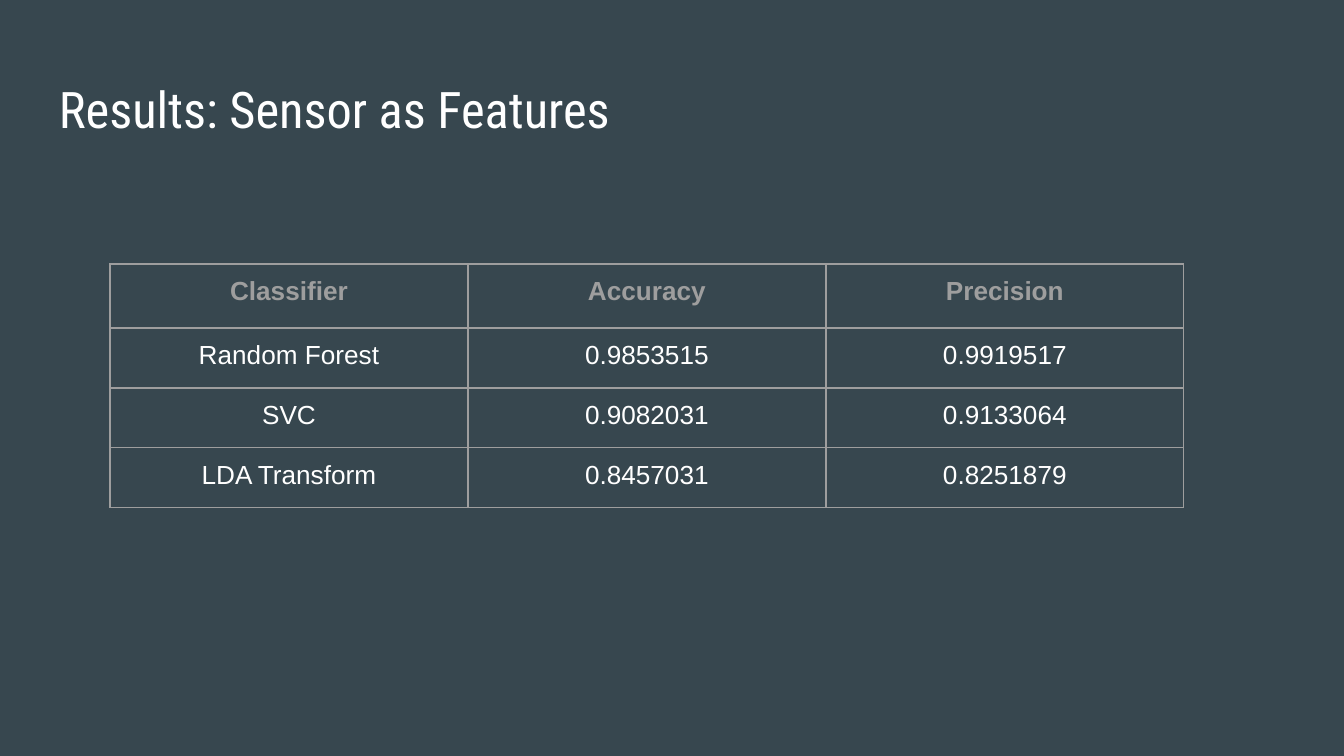
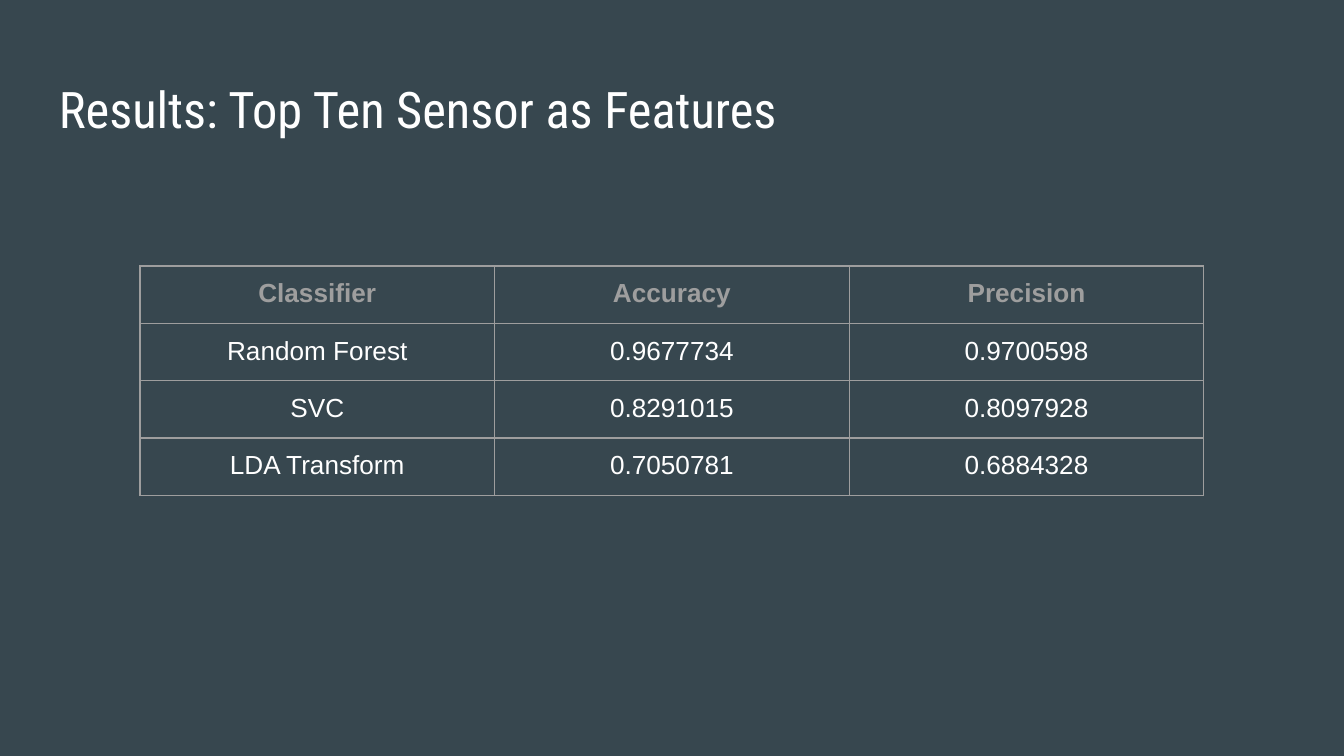
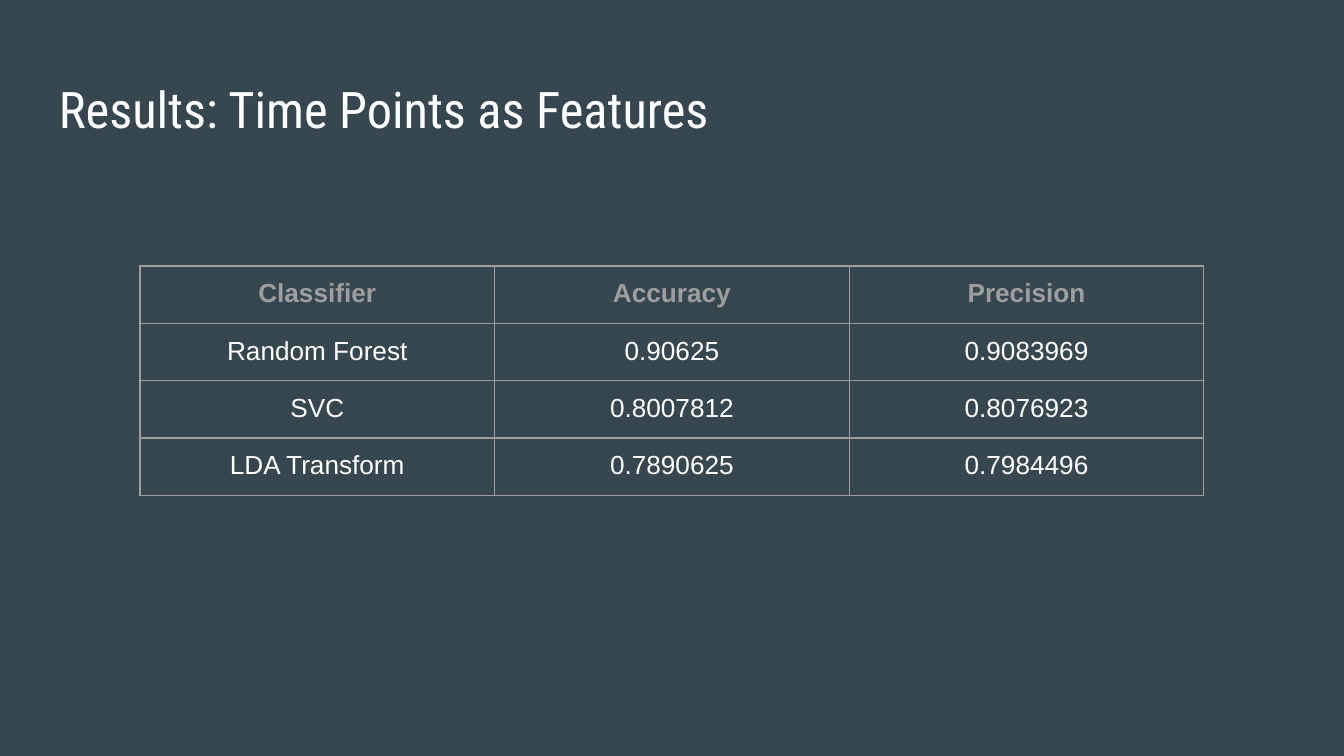
import pptx
import pptx.dml.color
import pptx.enum.text
import pptx.oxml
import pptx.oxml.ns
import pptx.util

EMU_PER_PX = 914400 / 134.4
INSET = 13
COLORS = {"background": "37474F", "text": "FFFFFF", "muted": "9E9E9E"}
HEADINGS = ["Classifier", "Accuracy", "Precision"]
CLASSIFIERS = ["Random Forest", "SVC", "LDA Transform"]
RESULTS = [
    {
        "title": "Results: Sensor as Features",
        "scores": [("0.9853515", "0.9919517"), ("0.9082031", "0.9133064"), ("0.8457031", "0.8251879")],
        "place": {"left": 110, "top": 264, "width": 1074, "heading_height": 64, "row_height": 60},
    },
    {
        "title": "Results: Top Ten Sensor as Features",
        "scores": [("0.9677734", "0.9700598"), ("0.8291015", "0.8097928"), ("0.7050781", "0.6884328")],
    },
    {
        "title": "Results: Time Points as Features",
        "scores": [("0.90625", "0.9083969"), ("0.8007812", "0.8076923"), ("0.7890625", "0.7984496")],
    },
]


def px(length):
    return pptx.util.Emu(round(length * EMU_PER_PX))


def rgb(name):
    return pptx.dml.color.RGBColor.from_string(COLORS[name])


def write_text(frame, text, *, font="Arial", size=14, color="text", bold=False, align="LEFT"):
    paragraph = frame.paragraphs[0]
    paragraph.alignment = getattr(pptx.enum.text.PP_ALIGN, align)
    run = paragraph.add_run()
    run.text = text
    run.font.name = font
    run.font.size = pptx.util.Pt(size)
    run.font.bold = bold
    run.font.color.rgb = rgb(color)


def set_insets(holder):
    for side in ("left", "right", "top", "bottom"):
        setattr(holder, f"margin_{side}", px(INSET))


class Deck:
    def __init__(self):
        self.presentation = pptx.Presentation()
        self.presentation.slide_width = px(1344)
        self.presentation.slide_height = px(756)
        self.slide = None

    def add_slide(self):
        self.slide = self.presentation.slides.add_slide(self.presentation.slide_layouts[6])
        background = self.slide.background.fill
        background.solid()
        background.fore_color.rgb = rgb("background")

    def add_title(self, text):
        frame = self.slide.shapes.add_textbox(px(46), px(66), px(1252), px(85)).text_frame
        frame.word_wrap = True
        frame.vertical_anchor = pptx.enum.text.MSO_ANCHOR.MIDDLE
        set_insets(frame)
        write_text(frame, text, font="Roboto Condensed", size=27)

    def add_borders(self, cell):
        properties = cell._tc.get_or_add_tcPr()
        for side in "LRTB":
            properties.append(pptx.oxml.parse_xml(
                f'<a:ln{side} {pptx.oxml.ns.nsdecls("a")} w="{pptx.util.Pt(0.75)}">'
                f'<a:solidFill><a:srgbClr val="{COLORS["muted"]}"/></a:solidFill>'
                f'</a:ln{side}>'
            ))

    def add_table(self, rows, left=140, top=266, width=1064, heading_height=56, row_height=56):
        heights = [heading_height] + [row_height] * (len(rows) - 1)
        table = self.slide.shapes.add_table(
            len(rows), len(rows[0]), px(left), px(top), px(width), px(sum(heights))
        ).table
        table.first_row = False
        table.horz_banding = False
        for column in table.columns:
            column.width = px(width / len(rows[0]))
        for index, (row, height, texts) in enumerate(zip(table.rows, heights, rows)):
            row.height = px(height)
            heading = index == 0
            for cell, text in zip(row.cells, texts):
                set_insets(cell)
                self.add_borders(cell)
                cell.fill.background()
                write_text(cell.text_frame, text, align="CENTER", bold=heading,
                           color="muted" if heading else "text")


def main():
    deck = Deck()
    for result in RESULTS:
        deck.add_slide()
        deck.add_title(result["title"])
        scores = [[name, *values] for name, values in zip(CLASSIFIERS, result["scores"])]
        deck.add_table([HEADINGS, *scores], **result.get("place", {}))
    deck.presentation.save("out.pptx")


if __name__ == "__main__":
    main()
